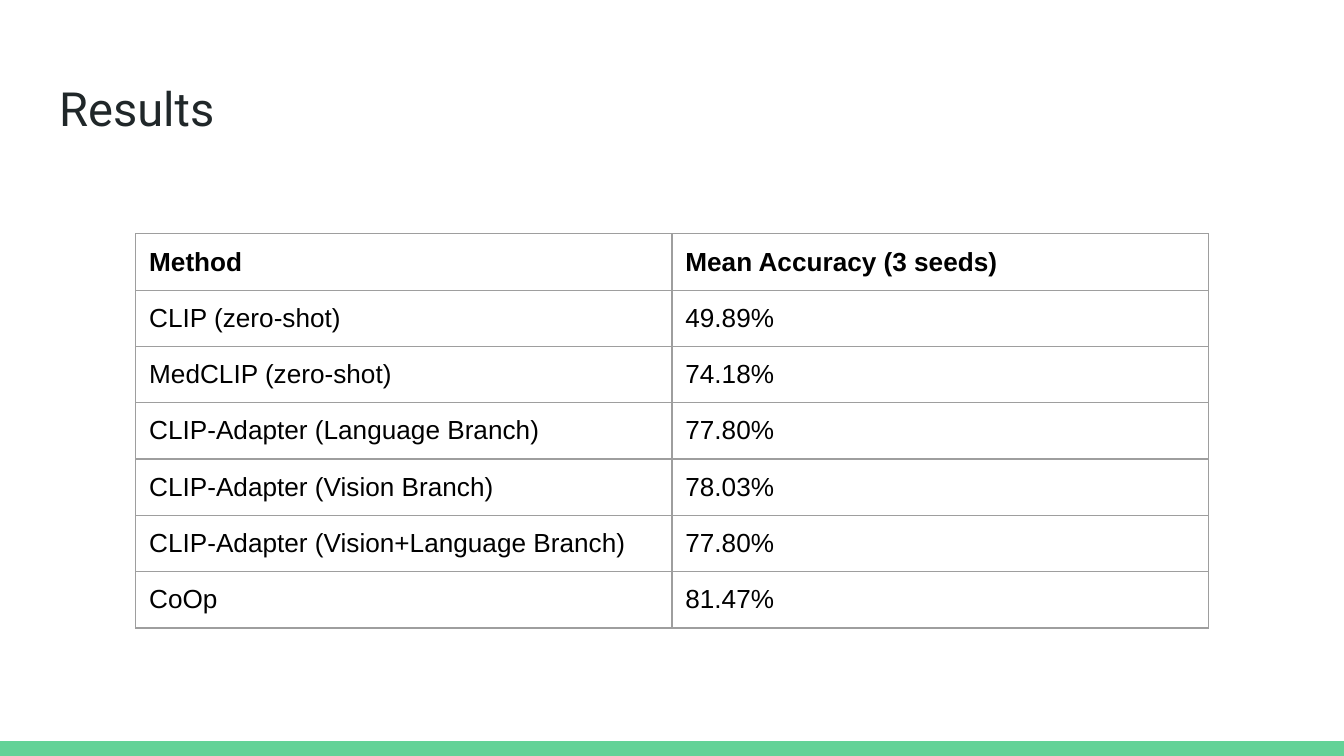
import pptx
import pptx.dml.color
import pptx.enum.shapes
import pptx.enum.text
import pptx.oxml
import pptx.oxml.ns
import pptx.util
from pptx.util import Inches

COLORS = {"accent": "63D297", "title": "202729", "text": "000000", "border": "9E9E9E"}

RESULTS = [
    ("Method", "Mean Accuracy (3 seeds)"),
    ("CLIP (zero-shot)", "49.89%"),
    ("MedCLIP (zero-shot)", "74.18%"),
    ("CLIP-Adapter (Language Branch)", "77.80%"),
    ("CLIP-Adapter (Vision Branch)", "78.03%"),
    ("CLIP-Adapter (Vision+Language Branch)", "77.80%"),
    ("CoOp", "81.47%"),
]


def rgb(name):
    return pptx.dml.color.RGBColor.from_string(COLORS[name])


class Deck:
    """Style and current slide, with one method per kind of element."""

    title_font, body_font = "Roboto", "Arial"
    title_size, body_size = pptx.util.Pt(25.2), pptx.util.Pt(14)
    inset = Inches(0.1)

    def __init__(self, slide):
        self.s = slide

    def set_font(self, p, name, size, color, bold=False):
        p.font.name, p.font.size, p.font.bold = name, size, bold
        p.font.color.rgb = rgb(color)

    def bar(self, x, y, w, h):
        sp = self.s.shapes.add_shape(pptx.enum.shapes.MSO_SHAPE.RECTANGLE, x, y, w, h)
        sp.shadow.inherit = False
        sp.fill.solid()
        sp.fill.fore_color.rgb = rgb("accent")
        sp.line.fill.background()

    def title(self, text, x, y, w, h):
        sp = self.s.shapes.title
        sp.left, sp.top, sp.width, sp.height = x, y, w, h
        tf = sp.text_frame
        tf.text = text
        tf.auto_size = pptx.enum.text.MSO_AUTO_SIZE.NONE
        tf.vertical_anchor = pptx.enum.text.MSO_ANCHOR.TOP
        tf.margin_left = tf.margin_right = tf.margin_top = tf.margin_bottom = self.inset
        p = tf.paragraphs[0]
        p.alignment = pptx.enum.text.PP_ALIGN.LEFT
        self.set_font(p, self.title_font, self.title_size, "title")

    def borders(self, cell):
        tc_pr = cell._tc.get_or_add_tcPr()
        for side in ("lnL", "lnR", "lnT", "lnB"):
            tc_pr.append(pptx.oxml.parse_xml(
                f'<a:{side} {pptx.oxml.ns.nsdecls("a")} w="{pptx.util.Pt(0.75)}">'
                f'<a:solidFill><a:srgbClr val="{COLORS["border"]}"/></a:solidFill>'
                f'</a:{side}>'))

    def table(self, rows, x, y, col_w, row_h):
        n_rows, n_cols = len(rows), len(rows[0])
        table = self.s.shapes.add_table(
            n_rows, n_cols, x, y, col_w * n_cols, row_h * n_rows).table
        table.horz_banding = False
        for i, row in enumerate(rows):
            table.rows[i].height = row_h
            for j, text in enumerate(row):
                table.columns[j].width = col_w
                cell = table.cell(i, j)
                cell.text = text
                cell.margin_left = cell.margin_right = self.inset
                cell.margin_top = cell.margin_bottom = self.inset
                self.borders(cell)
                cell.fill.background()
                self.set_font(cell.text_frame.paragraphs[0], self.body_font,
                              self.body_size, "text", bold=i == 0)


def main():
    # Widescreen 16:9 slide
    prs = pptx.Presentation()
    prs.slide_width = Inches(10)
    prs.slide_height = prs.slide_width * 9 // 16
    deck = Deck(prs.slides.add_slide(prs.slide_layouts[5]))

    # Bottom accent bar
    bar_h = Inches(0.11)
    deck.bar(0, prs.slide_height - bar_h, prs.slide_width, bar_h)

    # Title
    deck.title("Results", Inches(0.34), Inches(0.49), Inches(9.32), Inches(0.63))

    # Accuracy by method
    deck.table(RESULTS, Inches(1.01), Inches(1.74), Inches(3.99), pptx.util.Pt(30))

    prs.save("out.pptx")


if __name__ == "__main__":
    main()
